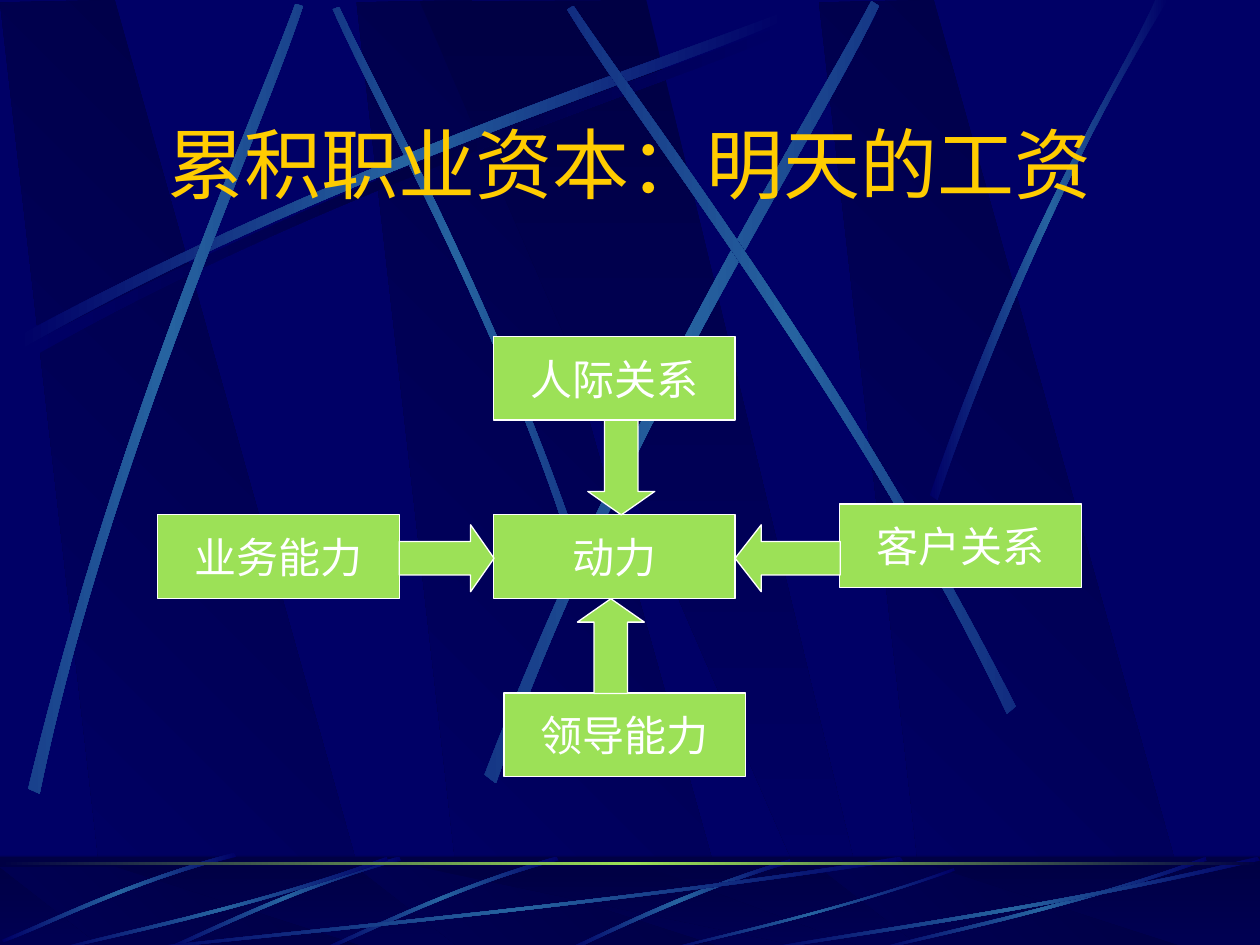
from copy import deepcopy
from math import cos, radians, sin

from lxml import etree
from pptx import Presentation
from pptx.dml.color import RGBColor
from pptx.enum.shapes import MSO_SHAPE
from pptx.enum.text import MSO_ANCHOR, PP_ALIGN
from pptx.oxml.ns import qn
from pptx.util import Cm, Pt

RECTANGLE = MSO_SHAPE.RECTANGLE
CENTER = PP_ALIGN.CENTER
MIDDLE = MSO_ANCHOR.MIDDLE

NAVY = RGBColor(0x00, 0x00, 0x66)
MIDNIGHT = RGBColor(0x00, 0x00, 0x44)
STEEL = RGBColor(0x26, 0x63, 0xA0)
GREEN = RGBColor(0x9C, 0xE1, 0x57)
GOLD = RGBColor(0xFF, 0xCC, 0x00)
WHITE = RGBColor(0xFF, 0xFF, 0xFF)

PANEL = (MIDNIGHT, NAVY)
SHADE = (NAVY, MIDNIGHT, NAVY)
GLOW = (NAVY, STEEL, NAVY)

# Backdrop outlines are drawn on a grid of 1000 by 750 units
UNIT = Cm(2.54) / 100

prs = Presentation()
prs.slide_width = Cm(25.4)
prs.slide_height = Cm(19.05)
slide = prs.slides.add_slide(prs.slide_layouts[6])
slide.background.fill.solid()
slide.background.fill.fore_color.rgb = NAVY
shapes = slide.shapes


def paint(shape, colours, angle=0):
    """Fill with evenly spaced gradient stops, without line or shadow."""
    shape.shadow.inherit = False
    shape.line.fill.background()
    shape.fill.gradient()
    shape.fill.gradient_angle = angle
    stop_list = next(shape._element.iter(qn("a:gsLst")))
    stop_list.getparent().set("rotWithShape", "0")
    while len(stop_list) < len(colours):
        stop_list.append(deepcopy(stop_list[0]))
    for index, (stop, colour) in enumerate(zip(shape.fill.gradient_stops, colours)):
        stop.position = index / (len(colours) - 1)
        stop.color.rgb = colour


def add_outline(points):
    vertices = [(x * UNIT, y * UNIT) for x, y in points]
    builder = shapes.build_freeform(*vertices[0], scale=1.0)
    builder.add_line_segments(vertices[1:], close=True)
    return builder.convert_to_shape()


# Each streak: colours, rotation, then the four Bezier points of either edge
wall_streaks = [
    (SHADE, 0, [(20, 275), (284, 134), (524, 59), (626, 18)],
     [(629, 24), (528, 69), (254, 151), (23, 285)]),
    (GLOW, 45, [(460, 436), (391, 234), (302, 77), (269, 5)],
     [(264, 7), (295, 79), (398, 258), (454, 439)]),
    (GLOW, 0, [(14, 267), (278, 125), (518, 51), (620, 10)],
     [(623, 16), (522, 61), (248, 143), (17, 277)]),
    (GLOW, 311.7, [(23, 625), (93, 334), (197, 105), (235, 2)],
     [(241, 4), (207, 108), (86, 368), (32, 629)]),
    (GLOW, 321.6, [(385, 614), (498, 320), (638, 102), (692, 0)],
     [(698, 4), (649, 108), (486, 355), (394, 621)]),
    (GLOW, 34.8, [(806, 560), (670, 293), (516, 95), (455, 4)],
     [(450, 7), (507, 101), (685, 325), (799, 566)]),
    (GLOW, 0, [(738, 393), (814, 173), (888, 66), (917, 0)],
     [(927, 0), (836, 145), (769, 322), (744, 397)]),
]
floor_streaks = [
    (GLOW, 0, [(627, 682), (537, 709), (477, 742), (448, 754)],
     [(453, 755), (490, 737), (571, 700), (628, 685)]),
    (GLOW, 314.9, [(442, 680), (355, 705), (287, 740), (256, 753)],
     [(257, 755), (288, 743), (365, 703), (444, 683)]),
    (GLOW, 314.9, [(317, 680), (230, 705), (162, 740), (131, 753)],
     [(132, 755), (163, 743), (240, 703), (319, 683)]),
    (GLOW, 314.9, [(186, 677), (99, 700), (33, 734), (2, 746)],
     [(3, 748), (34, 737), (110, 698), (188, 680)]),
    (GLOW, 0, [(717, 683), (449, 723), (206, 744), (103, 755)],
     [(100, 754), (202, 741), (480, 718), (714, 680)]),
    (GLOW, 0, [(308, 683), (193, 723), (88, 744), (43, 755)],
     [(42, 754), (86, 741), (206, 718), (307, 680)]),
    (GLOW, 0, [(758, 691), (658, 726), (567, 745), (528, 755)],
     [(527, 754), (565, 743), (669, 722), (757, 689)]),
    (GLOW, 0, [(958, 683), (843, 723), (738, 744), (693, 755)],
     [(692, 754), (736, 741), (856, 718), (957, 680)]),
    (GLOW, 0, [(1000, 683), (827, 723), (669, 744), (602, 755)],
     [(600, 754), (666, 741), (846, 718), (998, 680)]),
]

# Wall first, then the floor strip with the same panels flattened
for top, squash, streaks in [(0, 1, wall_streaks), (688, 0.09, floor_streaks)]:
    if streaks is floor_streaks:
        floor = shapes.add_shape(RECTANGLE, 0, Cm(17.27), Cm(25.4), Cm(1.9))
        paint(floor, PANEL, 270)

    for left in (283, 0, 650):
        panel = [(86, 751), (302, 753), (91, 0), (0, 2)]
        paint(add_outline([(left + x, top + y * squash) for x, y in panel]), PANEL, 225)
    wide_panel = [(333, 1), (658, 751), (694, 751), (513, 0)]
    paint(add_outline([(x, top + y * squash) for x, y in wide_panel]), PANEL, 270)

    if streaks is floor_streaks:
        veil = shapes.add_shape(RECTANGLE, 0, Cm(17.25), Cm(25.4), Cm(1.9))
        veil.shadow.inherit = False
        veil.line.fill.background()
        veil.fill.solid()
        veil.fill.fore_color.rgb = MIDNIGHT
        veil_colour = veil._element.spPr.find(qn("a:solidFill"))[0]
        etree.SubElement(veil_colour, qn("a:alpha"), val="50000")

    for colours, rotation, outer, inner in streaks:
        # Turn the points back about their centre, then rotate the shape
        points = outer + inner
        mid_x, mid_y = [(min(axis) + max(axis)) / 2 for axis in zip(*points)]
        c, s = cos(radians(rotation)), sin(radians(rotation))
        streak = add_outline([
            (mid_x + (x - mid_x) * c + (y - mid_y) * s,
             mid_y - (x - mid_x) * s + (y - mid_y) * c) for x, y in points])
        streak.rotation = rotation
        # Join each edge's last three points into one Bezier curve
        outline = next(streak._element.iter(qn("a:moveTo"))).getparent()
        segments = list(outline)
        for first in (1, 5):
            curve = etree.Element(qn("a:cubicBezTo"))
            segments[first].addprevious(curve)
            for segment in segments[first:first + 3]:
                curve.append(segment[0])
                outline.remove(segment)
        paint(streak, colours)

horizon = shapes.add_shape(RECTANGLE, 0, Cm(17.37), Cm(25.4), Cm(0.06))
paint(horizon, (MIDNIGHT, GREEN, MIDNIGHT))

title = shapes.add_textbox(Cm(1.91), Cm(2.21), Cm(21.59), Cm(2.13)).text_frame
title.word_wrap = True
title.vertical_anchor = MIDDLE
title.paragraphs[0].alignment = CENTER
heading = title.paragraphs[0].add_run()
heading.text = "累积职业资本：明天的工资"
heading.font.name = "Montserrat"
heading.font.size = Pt(44)
heading.font.color.rgb = GOLD

# Preset, left, top, width, height, label
BOX = (4.87, 1.69)
diagram = [
    (RECTANGLE, 9.95, 10.37, *BOX, "动力"),
    (RECTANGLE, 9.95, 6.78, *BOX, "人际关系"),
    (RECTANGLE, 10.16, 13.97, *BOX, "领导能力"),
    (RECTANGLE, 16.93, 10.16, *BOX, "客户关系"),
    (RECTANGLE, 3.18, 10.37, *BOX, "业务能力"),
    (MSO_SHAPE.UP_ARROW, 11.64, 12.07, 1.35, 1.91, None),
    (MSO_SHAPE.DOWN_ARROW, 11.85, 8.47, 1.35, 1.91, None),
    (MSO_SHAPE.RIGHT_ARROW, 8.05, 10.58, 1.91, 1.35, None),
    (MSO_SHAPE.LEFT_ARROW, 14.82, 10.58, 2.12, 1.35, None),
]
for preset, left, top, width, height, label in diagram:
    part = shapes.add_shape(preset, Cm(left), Cm(top), Cm(width), Cm(height))
    part.shadow.inherit = False
    part.fill.solid()
    part.fill.fore_color.rgb = GREEN
    part.line.color.rgb = WHITE
    part.line.width = Pt(0.75)
    if label is None:
        part.adjustments[1] = 0.39 if width > 2 else 0.35
        continue
    frame = part.text_frame
    frame.word_wrap = False
    frame.vertical_anchor = MIDDLE
    frame.paragraphs[0].alignment = CENTER
    run = frame.paragraphs[0].add_run()
    run.text = label
    run.font.name = "Times New Roman"
    run.font.size = Pt(24)
    run.font.color.rgb = WHITE

prs.save("out.pptx")
